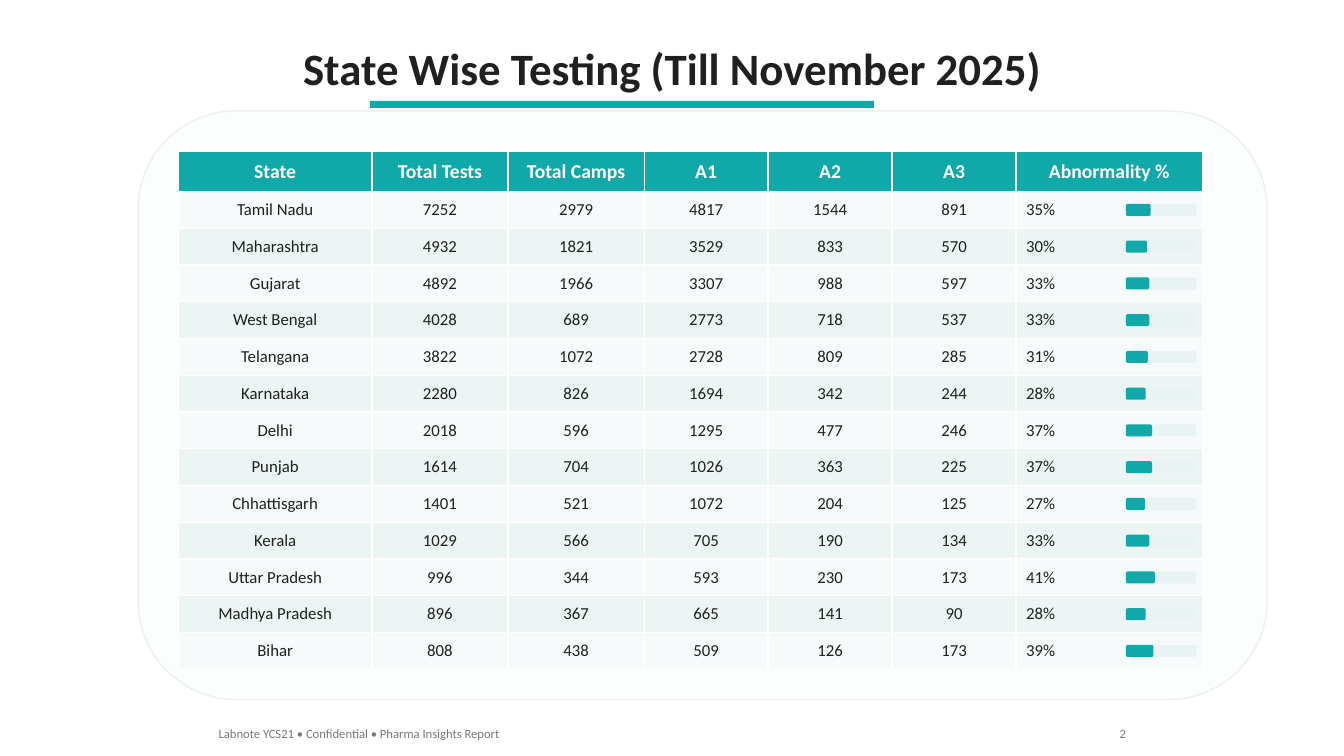
import pptx
import pptx.util
import pptx.dml.color
import pptx.enum.shapes
import pptx.enum.text

CELL = pptx.util.Inches(0.1)
TEAL, INK, GREY, WHITE = "10A8A8", "202020", "787878", "FFFFFF"
TRACK, PANEL, EDGE = "EAF3F3", "FCFDFD", "EBF0F0"
BANDS = ["F6FAFA", "ECF4F4"]
SHAPE = pptx.enum.shapes.MSO_SHAPE
ALIGN = pptx.enum.text.PP_ALIGN
ANCHOR = pptx.enum.text.MSO_ANCHOR

HEADS = ["State", "Total Tests", "Total Camps", "A1", "A2", "A3", "Abnormality %"]
COLS = [19.2, 13.5, 13.5, 12.3, 12.3, 12.3, 18.5]
STATES = [
    ("Tamil Nadu", 7252, 2979, 4817, 1544, 891, 35),
    ("Maharashtra", 4932, 1821, 3529, 833, 570, 30),
    ("Gujarat", 4892, 1966, 3307, 988, 597, 33),
    ("West Bengal", 4028, 689, 2773, 718, 537, 33),
    ("Telangana", 3822, 1072, 2728, 809, 285, 31),
    ("Karnataka", 2280, 826, 1694, 342, 244, 28),
    ("Delhi", 2018, 596, 1295, 477, 246, 37),
    ("Punjab", 1614, 704, 1026, 363, 225, 37),
    ("Chhattisgarh", 1401, 521, 1072, 204, 125, 27),
    ("Kerala", 1029, 566, 705, 190, 134, 33),
    ("Uttar Pradesh", 996, 344, 593, 230, 173, 41),
    ("Madhya Pradesh", 896, 367, 665, 141, 90, 28),
    ("Bihar", 808, 438, 509, 126, 173, 39),
]


def span(*cells):
    return [round(n * CELL) for n in cells]


def color(code):
    return pptx.dml.color.RGBColor.from_string(code)


def paint(item, code):
    item.fill.solid()
    item.fill.fore_color.rgb = color(code)


def write(frame, text, size, code, align, bold=False):
    line = frame.paragraphs[0]
    line.text = text
    line.alignment = align
    line.font.name = "Calibri"
    line.font.size = pptx.util.Pt(size)
    line.font.bold = bold
    line.font.color.rgb = color(code)


def block(slide, kind, box, fill, edge=None):
    shape = slide.shapes.add_shape(kind, *span(*box))
    shape.shadow.inherit = False
    paint(shape, fill)
    if edge:
        shape.line.color.rgb = color(edge)
        shape.line.width = pptx.util.Pt(1)
    else:
        shape.line.fill.background()


def header(slide, box):
    x, y, w, h = box
    title = slide.shapes.title
    title.left, title.top, title.width, title.height = span(*box)
    frame = title.text_frame
    frame.word_wrap = False
    frame.auto_size = pptx.enum.text.MSO_AUTO_SIZE.NONE
    frame.vertical_anchor = ANCHOR.TOP
    write(frame, "State Wise Testing (Till November 2025)", 32, INK, ALIGN.CENTER, True)
    block(slide, SHAPE.RECTANGLE, (x + 8, y + h + 0.1, 50, 0.7), TEAL)


def meter(slide, box, share):
    x, y, w, h = box
    block(slide, SHAPE.ROUNDED_RECTANGLE, box, TRACK)
    block(slide, SHAPE.ROUNDED_RECTANGLE, (x, y, w * share / 100, h), TEAL)


def grid(slide, box):
    x, y, w, h = box
    top = 4
    step = (h - top) / len(STATES)
    table = slide.shapes.add_table(len(STATES) + 1, len(HEADS), *span(*box)).table
    for col, wide in zip(table.columns, COLS):
        col.width = span(wide)[0]
    for r, row in enumerate([HEADS] + STATES):
        table.rows[r].height = span(step if r else top)[0]
        for c, value in enumerate(row):
            rate = r > 0 and c == len(HEADS) - 1
            cell = table.cell(r, c)
            cell.vertical_anchor = ANCHOR.MIDDLE
            paint(cell, BANDS[(r - 1) % 2] if r else TEAL)
            write(cell.text_frame, f"{value}%" if rate else str(value),
                  12 if r else 14, INK if r else WHITE,
                  ALIGN.LEFT if rate else ALIGN.CENTER, r == 0)
    for r, row in enumerate(STATES):
        mid = y + top + (r + 0.5) * step
        meter(slide, (x + w - 7.6, mid - 0.6, 7, 1.2), row[-1])


def card(slide, box):
    x, y, w, h = box
    block(slide, SHAPE.ROUNDED_RECTANGLE, box, PANEL, EDGE)
    grid(slide, (x + 4, y + 4, sum(COLS), h - 7))


def label(slide, box, text, align):
    frame = slide.shapes.add_textbox(*span(*box)).text_frame
    frame.word_wrap = False
    write(frame, text, 9, GREY, align)


def footer(slide, box):
    x, y, w, h = box
    label(slide, (x, y, 30.5, h),
          "Labnote YCS21 • Confidential • Pharma Insights Report", ALIGN.LEFT)
    label(slide, (x + w - 2.7, y, 2.7, h), "2", ALIGN.RIGHT)


def main():
    deck = pptx.Presentation()
    deck.slide_width, deck.slide_height = span(133.33, 75)
    slide = deck.slides.add_slide(deck.slide_layouts[5])
    header(slide, (28.7, 3.5, 76, 6.4))
    card(slide, (13.7, 11, 112, 58.4))
    footer(slide, (20.7, 71.5, 92, 2.5))
    deck.save("out.pptx")


if __name__ == "__main__":
    main()
